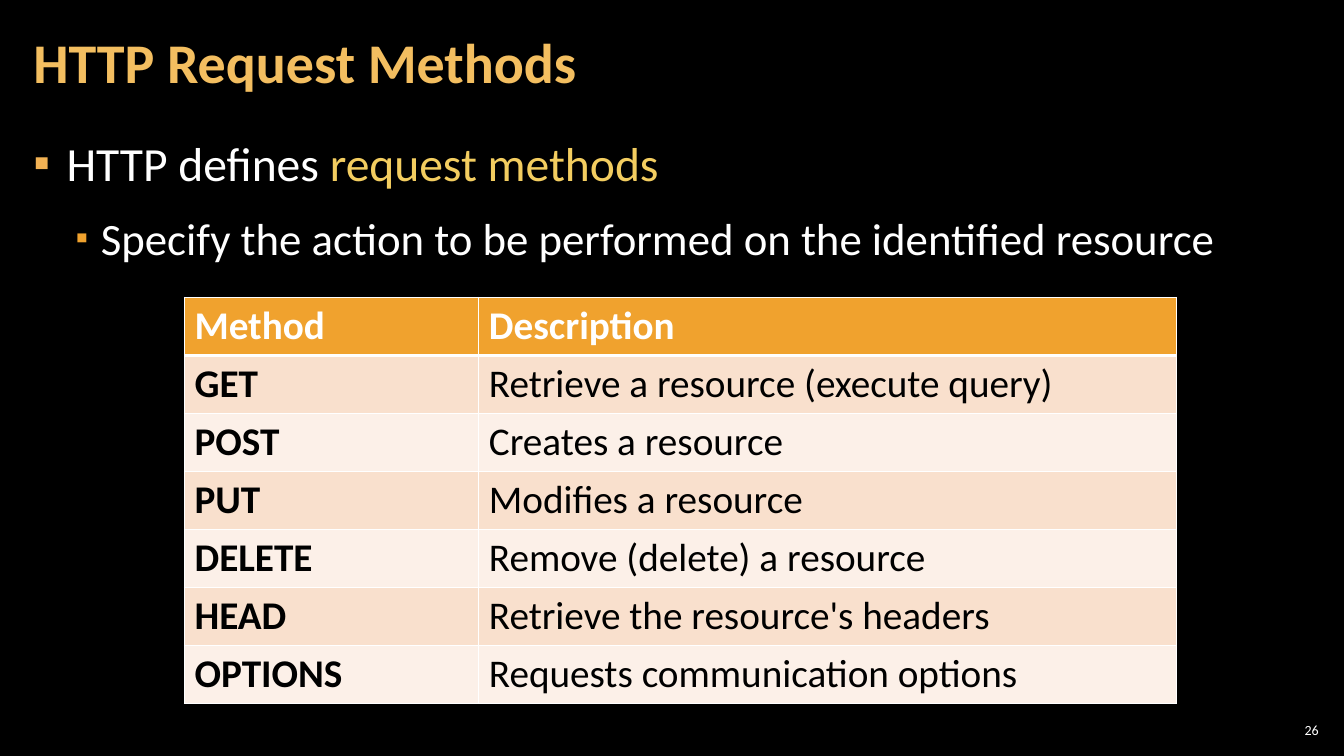
from dataclasses import dataclass

from lxml import etree
from pptx import Presentation
from pptx.dml.color import RGBColor
from pptx.enum.text import MSO_ANCHOR, MSO_AUTO_SIZE, PP_ALIGN
from pptx.oxml.ns import qn
from pptx.util import Inches, Pt

MIDDLE, TOP = MSO_ANCHOR.MIDDLE, MSO_ANCHOR.TOP
LEFT, RIGHT = PP_ALIGN.LEFT, PP_ALIGN.RIGHT
NO_FIT = MSO_AUTO_SIZE.NONE
FONT = "Calibri"
COLORS = {
    "black": "000000",
    "white": "FFFFFF",
    "title": "F3BE60",
    "accent": "F3CD60",
    "mark": "F2B254",
    "orange": "F0A22E",
    "dark": "F9E0CD",
    "light": "FCF0E8",
}


@dataclass
class Point:
    words: list[tuple[str, str]]
    level: int
    size: float
    indent: float
    hang: float
    mark: str
    scale: int


@dataclass
class Method:
    name: str
    about: str


POINTS = [
    Point([("HTTP defines ", "white"), ("request methods", "accent")],
          0, 34, 0.33, 0.33, "mark", 100),
    Point([("Specify the action to be performed on the identified resource", "white")],
          1, 32, 0.67, 0.25, "orange", 80),
]
METHODS = [
    Method("Method", "Description"),
    Method("GET", "Retrieve a resource (execute query)"),
    Method("POST", "Creates a resource"),
    Method("PUT", "Modifies a resource"),
    Method("DELETE", "Remove (delete) a resource"),
    Method("HEAD", "Retrieve the resource's headers"),
    Method("OPTIONS", "Requests communication options"),
]


def paint(name: str) -> RGBColor:
    return RGBColor.from_string(COLORS[name])


def write(para, text: str, *, size: float, color: str = "white",
          bold: bool = False, align=LEFT) -> None:
    para.alignment = align
    run = para.add_run()
    run.text = text
    run.font.name = FONT
    run.font.size = Pt(size)
    run.font.bold = bold
    run.font.color.rgb = paint(color)


def place(shape, left: float, top: float, width: float, height: float) -> None:
    shape.left, shape.top = Inches(left), Inches(top)
    shape.width, shape.height = Inches(width), Inches(height)


def frame(shape, side: float, anchor):
    box = shape.text_frame
    box.word_wrap = True
    box.auto_size = NO_FIT
    box.vertical_anchor = anchor
    box.margin_left = box.margin_right = Inches(side)
    box.margin_top = box.margin_bottom = Inches(0.04)
    return box


def add_mark(para, point: Point) -> None:
    props = para._p.get_or_add_pPr()
    props.set("marL", str(Inches(point.indent)))
    props.set("indent", str(-Inches(point.hang)))
    tint = etree.SubElement(props, qn("a:buClr"))
    etree.SubElement(tint, qn("a:srgbClr"), val=COLORS[point.mark])
    etree.SubElement(props, qn("a:buSzPct"), val=str(point.scale * 1000))
    etree.SubElement(props, qn("a:buChar"), char="▪")


def add_list(shape) -> None:
    box = frame(shape, 0.12, TOP)
    for index, point in enumerate(POINTS):
        para = box.add_paragraph() if index else box.paragraphs[0]
        para.level = point.level
        add_mark(para, point)
        para.line_spacing = 1.05
        para.space_before = Pt(6 if index else 0)
        para.space_after = Pt(6)
        for text, color in point.words:
            write(para, text, size=point.size, color=color)


def add_edges(cell, row: int) -> None:
    props = cell._tc.get_or_add_tcPr()
    widths = {"L": 1, "R": 1, "T": 3 if row == 1 else 1, "B": 1 if row else 3}
    for side, width in widths.items():
        line = etree.SubElement(props, qn(f"a:ln{side}"), w=str(Pt(width)))
        fill = etree.SubElement(line, qn("a:solidFill"))
        etree.SubElement(fill, qn("a:srgbClr"), val=COLORS["white"])


def add_grid(slide) -> None:
    height = 0.57
    count = len(METHODS)
    table = slide.shapes.add_table(
        count, 2, Inches(1.83), Inches(2.95),
        Inches(9.84), Inches(height * count)).table
    table.horz_banding = False
    for column, width in zip(table.columns, (2.92, 6.92)):
        column.width = Inches(width)
    for row, method in enumerate(METHODS):
        table.rows[row].height = Inches(height)
        band = ("dark" if row % 2 else "light") if row else "orange"
        for col, text in enumerate((method.name, method.about)):
            cell = table.cell(row, col)
            add_edges(cell, row)
            cell.fill.solid()
            cell.fill.fore_color.rgb = paint(band)
            write(cell.text_frame.paragraphs[0], text, size=28,
                  color="black" if row else "white",
                  bold=row == 0 or col == 0)


def main() -> None:
    deck = Presentation()
    deck.slide_width, deck.slide_height = Inches(13.33), Inches(7.5)
    slide = deck.slides.add_slide(deck.slide_layouts[1])
    slide.background.fill.solid()
    slide.background.fill.fore_color.rgb = paint("black")

    title, body = slide.placeholders
    place(title, 0.21, 0.04, 10.47, 1.21)
    head = frame(title, 0.12, MIDDLE).paragraphs[0]
    head.line_spacing = 0.9
    write(head, "HTTP Request Methods", size=40, color="title", bold=True)

    place(body, 0.21, 1.26, 12.91, 6.09)
    add_list(body)
    add_grid(slide)

    number = slide.shapes.add_textbox(
        Inches(12.65), Inches(7.14), Inches(0.47), Inches(0.21))
    write(frame(number, 0.04, MIDDLE).paragraphs[0], "26", size=10, align=RIGHT)
    deck.save("out.pptx")


if __name__ == "__main__":
    main()
